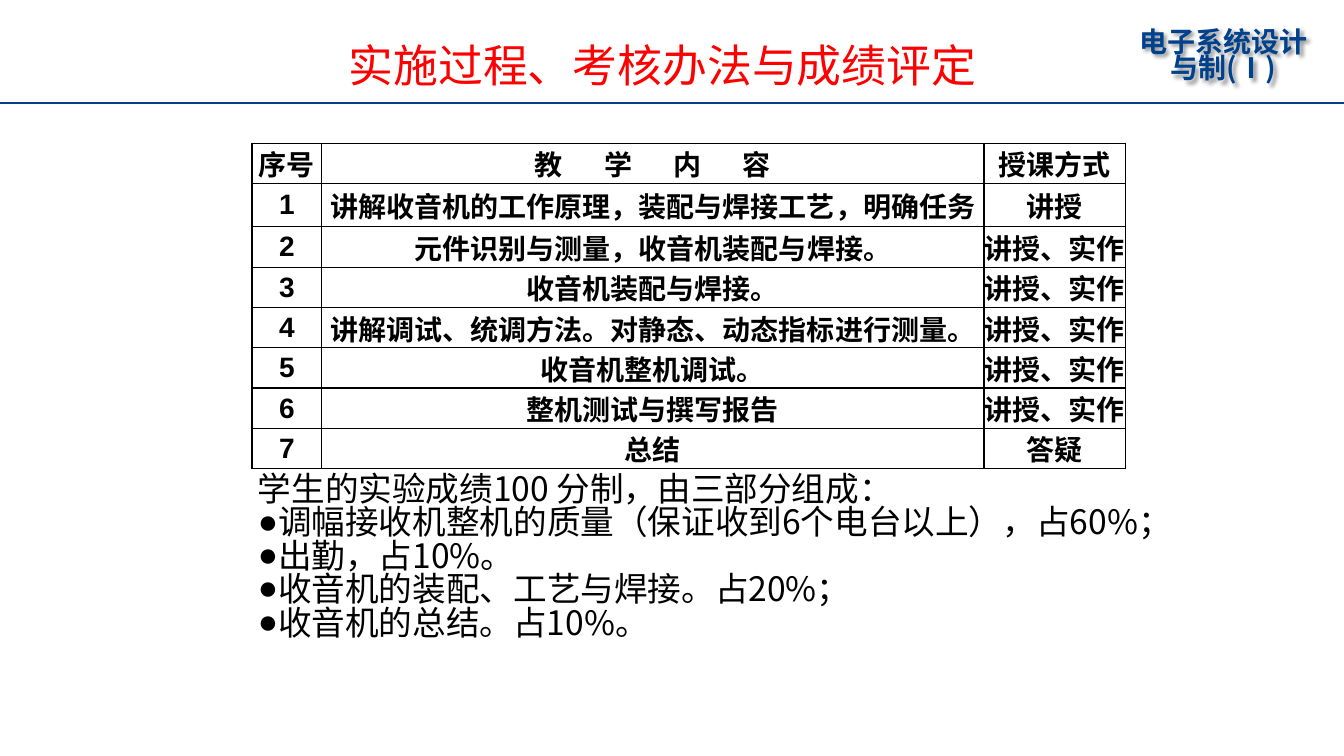
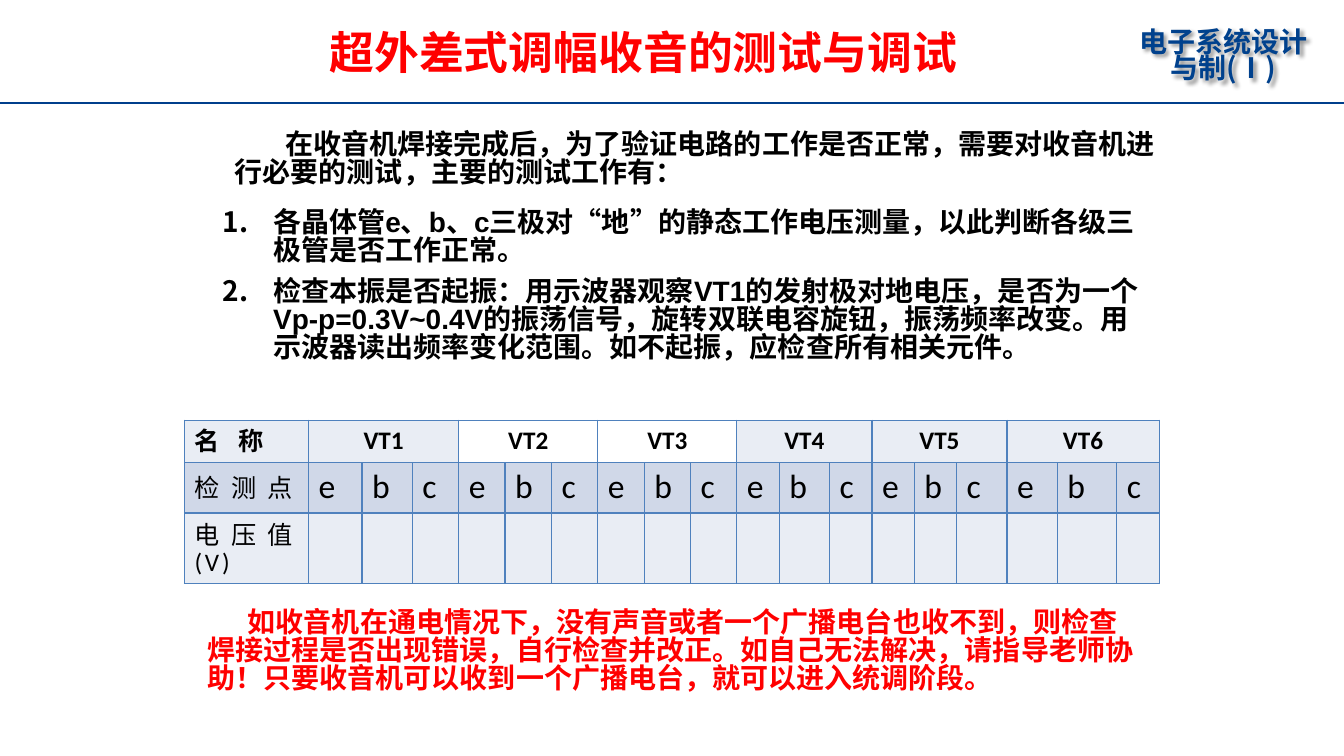
from dataclasses import dataclass

from lxml import etree
from pptx import Presentation, util as u
from pptx.dml.color import RGBColor
from pptx.enum import shapes, text
from pptx.oxml import ns

CENTER = text.PP_ALIGN.CENTER
TOP, MIDDLE, BOTTOM = (text.MSO_ANCHOR.TOP, text.MSO_ANCHOR.MIDDLE,
                       text.MSO_ANCHOR.BOTTOM)


@dataclass(frozen=True)
class Theme:
    black: str = "000000"
    red: str = "FF0000"
    course: str = "00418D"
    rule: str = "003F8C"
    grid: str = "4F81BD"
    pale: str = "E9EDF4"
    band: str = "D0D8E8"
    sans: str = "Arial"
    serif: str = "Times New Roman"
    table: str = "Calibri"
    chinese: str = "Noto Sans CJK SC"
    title: int = 32
    large: int = 24
    body: int = 20
    label: int = 18
    tight: float = 0.84


THEME = Theme()


def add_xml(parent, tag, **attributes):
    return etree.SubElement(parent, ns.qn(tag), attributes)


class Slides:
    """Holds the deck, the theme and the slide being built."""

    def __init__(self, theme):
        self.theme = theme
        self.deck = Presentation()
        self.deck.slide_width = u.Inches(13.33)
        self.deck.slide_height = u.Inches(7.5)
        self.page = None

    def new_page(self):
        """Start a slide with the course name and the rule under the title."""
        self.page = self.deck.slides.add_slide(self.deck.slide_layouts[6])
        t = self.theme
        course = self.text_box(11.14, 0.29, 1.99, 0.56, MIDDLE)
        self.paragraph(course, "电子系统设计与制(Ⅰ)", t.body, font=t.chinese,
                       color=t.course, bold=True, align=CENTER, spacing=0.8)
        effects = add_xml(course._element.spPr, "a:effectLst")
        shadow = add_xml(effects, "a:outerShdw", blurRad="38100", dist="38100",
                         dir="2700000", algn="tl", rotWithShape="0")
        tint = add_xml(shadow, "a:srgbClr", val=t.black)
        add_xml(tint, "a:alpha", val="43000")
        self.line(0, 1.02, 13.33, 1.02)

    def line(self, x1, y1, x2, y2):
        rule = self.page.shapes.add_connector(
            shapes.MSO_CONNECTOR.STRAIGHT, *map(u.Inches, (x1, y1, x2, y2)))
        rule.line.color.rgb = RGBColor.from_string(self.theme.rule)
        rule.line.width = u.Pt(1.5)
        add_xml(rule._element.spPr, "a:effectLst")

    def text_box(self, left, top, width, height, anchor=TOP):
        box = self.page.shapes.add_textbox(
            *map(u.Inches, (left, top, width, height)))
        box.text_frame.word_wrap = True
        box.text_frame.vertical_anchor = anchor
        return box

    def paragraph(self, holder, words, size, font=None, color=None, bold=False,
                  align=None, spacing=None, before=0, margin=0, indent=0,
                  bullet=None, numbered=False, tracking=0):
        """Write into the empty first paragraph of a box or cell, or add one."""
        frame = holder.text_frame
        para = frame.paragraphs[0]
        if para.runs:
            para = frame.add_paragraph()
            para.space_before = u.Pt(before)
        properties = para._p.get_or_add_pPr()
        properties.set("marL", str(u.Inches(margin)))
        properties.set("indent", str(u.Inches(indent)))
        if bullet:
            add_xml(properties, "a:buFont", typeface=self.theme.sans)
            add_xml(properties, "a:buChar", char=bullet)
        elif numbered:
            add_xml(properties, "a:buFont", typeface=self.theme.chinese)
            add_xml(properties, "a:buAutoNum", type="arabicPeriod")
        if align is not None:
            para.alignment = align
        if spacing:
            para.line_spacing = spacing
        span = para.add_run()
        span.text = words
        span.font.size = u.Pt(size)
        span.font.bold = bold
        span.font.color.rgb = RGBColor.from_string(color or self.theme.black)
        span.font.name = font or self.theme.sans
        run_properties = span._r.get_or_add_rPr()
        add_xml(run_properties, "a:ea", typeface=self.theme.chinese)
        if tracking:
            run_properties.set("spc", str(round(tracking * 100)))

    def title(self, words, left, top, width, height, anchor, **style):
        box = self.text_box(left, top, width, height, anchor)
        self.paragraph(box, words, self.theme.title, color=self.theme.red,
                       **style)

    def table(self, left, top, columns, rows, border):
        """Add a plain grid; columns and rows list the widths and heights."""
        grid = self.page.shapes.add_table(
            len(rows), len(columns), u.Inches(left), u.Inches(top),
            u.Inches(sum(columns)), u.Inches(sum(rows))).table
        grid.first_row = grid.horz_banding = False
        for column, width in zip(grid.columns, columns):
            column.width = u.Inches(width)
        for row, height in zip(grid.rows, rows):
            row.height = u.Inches(height)
        for cell in grid.iter_cells():
            cell.vertical_anchor = MIDDLE
            properties = cell._tc.get_or_add_tcPr()
            for side in ("a:lnL", "a:lnR", "a:lnT", "a:lnB"):
                edge = add_xml(properties, side, w=str(u.Pt(1)))
                fill = add_xml(edge, "a:solidFill")
                add_xml(fill, "a:srgbClr", val=border)
            cell.fill.background()
        return grid

    def fill(self, cell, color):
        cell.fill.solid()
        cell.fill.fore_color.rgb = RGBColor.from_string(color)


def build_grading(slides):
    t = slides.theme
    slides.new_page()
    practice = "讲授、实作"
    lessons = [
        ("序号", "教　学　内　容", "授课方式"),
        ("1", "讲解收音机的工作原理，装配与焊接工艺，明确任务", "讲授"),
        ("2", "元件识别与测量，收音机装配与焊接。", practice),
        ("3", "收音机装配与焊接。", practice),
        ("4", "讲解调试、统调方法。对静态、动态指标进行测量。", practice),
        ("5", "收音机整机调试。", practice),
        ("6", "整机测试与撰写报告", practice),
        ("7", "总结", "答疑"),
    ]
    heights = [0.4, 0.43] + [0.4] * 6
    grid = slides.table(2.5, 1.42, [0.69, 6.57, 1.4], heights, t.black)
    for r, lesson in enumerate(lessons):
        for c, words in enumerate(lesson):
            cell = grid.cell(r, c)
            cell.margin_left = cell.margin_right = 0
            cell.margin_top = cell.margin_bottom = 0
            slides.paragraph(cell, words, t.body, bold=True, align=CENTER,
                             tracking=4.7 if (r, c) == (0, 1) else 0)

    slides.title("实施过程、考核办法与成绩评定", 3.36, 0.37, 8.75, 0.55, MIDDLE)

    grading = slides.text_box(2.46, 4.66, 9.3, 2.32)
    slides.paragraph(grading, "学生的实验成绩100 分制，由三部分组成：", t.large,
                     font=t.chinese, spacing=0.83)
    for part in ("调幅接收机整机的质量（保证收到6个电台以上），占60%；",
                 "出勤，占10%。",
                 "收音机的装配、工艺与焊接。占20%；",
                 "收音机的总结。占10%。"):
        slides.paragraph(grading, part, t.large, font=t.chinese, spacing=0.83,
                         bullet="●")


def build_testing(slides):
    t = slides.theme
    slides.new_page()
    prose = dict(size=t.body, bold=True, spacing=t.tight)

    intro = slides.text_box(2.23, 1.26, 9.44, 0.77)
    slides.paragraph(
        intro, "在收音机焊接完成后，为了验证电路的工作是否正常，需要对收音机"
        "进行必要的测试，主要的测试工作有：", indent=0.5, **prose)

    steps = slides.text_box(2.11, 2.03, 9.28, 1.95)
    for step in (
            "各晶体管e、b、c三极对“地”的静态工作电压测量，以此判断各级三极管"
            "是否工作正常。",
            "检查本振是否起振：用示波器观察VT1的发射极对地电压，是否为一个"
            "Vp-p=0.3V~0.4V的振荡信号，旋转双联电容旋钮，振荡频率改变。"
            "用示波器读出频率变化范围。如不起振，应检查所有相关元件。"):
        slides.paragraph(steps, step, margin=0.5, indent=-0.5, before=9,
                         numbered=True, **prose)

    advice = slides.text_box(1.96, 6, 9.4, 1.11)
    slides.paragraph(
        advice, "如收音机在通电情况下，没有声音或者一个广播电台也收不到，则检查"
        "焊接过程是否出现错误，自行检查并改正。如自己无法解决，请指导老师协助！"
        "只要收音机可以收到一个广播电台，就可以进入统调阶段。",
        color=t.red, indent=0.4, **prose)

    slides.title("超外差式调幅收音的测试与调试", 3.17, 0.12, 7.87, 0.71, BOTTOM,
                 font=t.serif, bold=True)
    build_voltages(slides)


def build_voltages(slides):
    t = slides.theme
    widths = [1.23, 0.53, 0.5] + [0.46] * 7 + [
        0.42, 0.5, 0.42, 0.42, 0.42, 0.5, 0.5, 0.59, 0.42]
    grid = slides.table(1.83, 4.17, widths, [0.42, 0.5, 0.7], t.grid)
    unfilled = ("VT2", "VT3")
    style = dict(font=t.table, spacing=t.tight)

    for r, (words, color, tracking) in enumerate((
            ("名 称", t.pale, 4.7), ("检 测 点", t.band, 2),
            ("电 压 值(V)", t.pale, 2))):
        for c in range(len(widths)):
            name = f"VT{(c + 2) // 3}"
            if r or name not in unfilled:
                slides.fill(grid.cell(r, c), color)
        slides.paragraph(grid.cell(r, 0), words, t.label, bold=r == 0,
                         tracking=tracking, **style)

    for number in range(1, 7):
        first = 3 * number - 2
        head = grid.cell(0, first)
        head.merge(grid.cell(0, first + 2))
        slides.paragraph(head, f"VT{number}", t.label, bold=True, align=CENTER,
                         **style)
        for offset, pole in enumerate("ebc"):
            slides.paragraph(grid.cell(1, first + offset), pole, t.large,
                             **style)


def main():
    slides = Slides(THEME)
    build_grading(slides)
    build_testing(slides)
    slides.deck.save("out.pptx")


if __name__ == "__main__":
    main()
